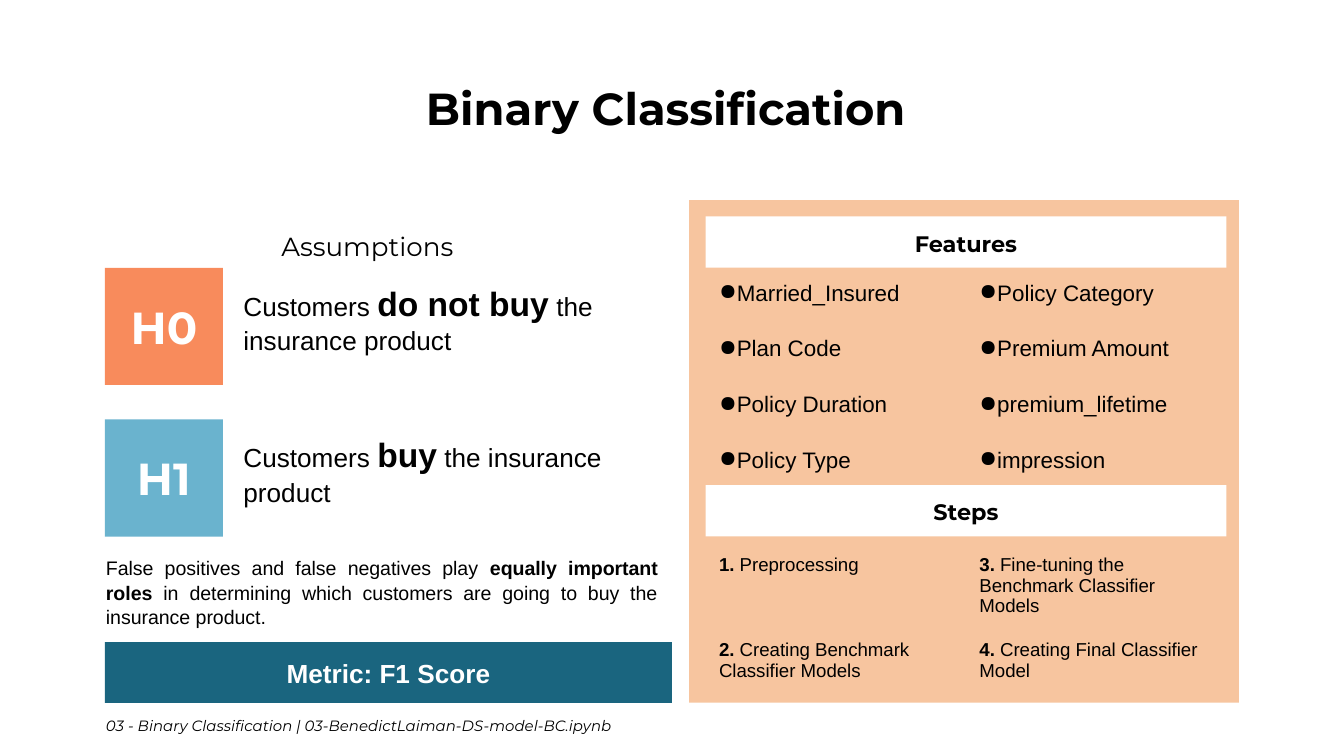
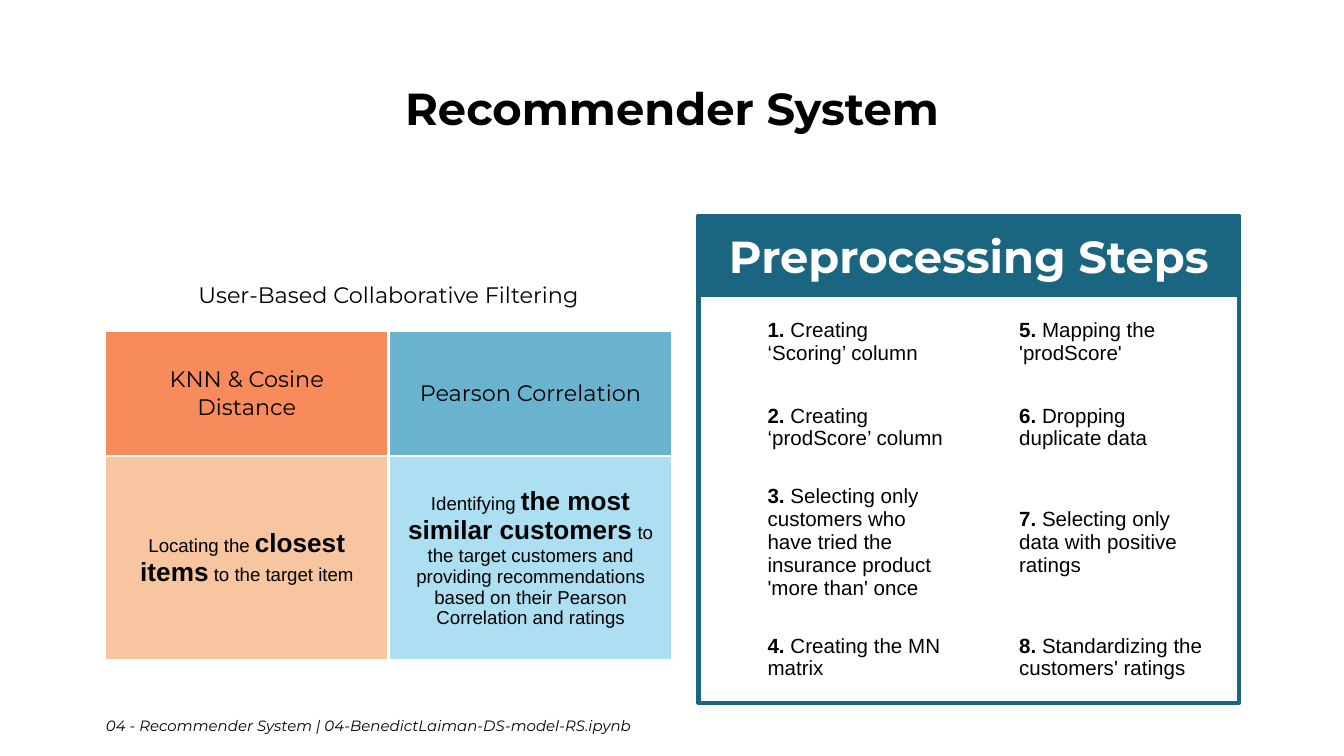
from lxml import etree
from pptx import Presentation
from pptx.dml.color import RGBColor
from pptx.enum.shapes import MSO_SHAPE
from pptx.enum.text import MSO_ANCHOR, MSO_AUTO_SIZE, PP_ALIGN
from pptx.oxml.ns import qn
from pptx.util import Pt

RECT = MSO_SHAPE.RECTANGLE
TOP, MID, LOW = MSO_ANCHOR.TOP, MSO_ANCHOR.MIDDLE, MSO_ANCHOR.BOTTOM
LEFT, MIDST, JUST = PP_ALIGN.LEFT, PP_ALIGN.CENTER, PP_ALIGN.JUSTIFY

# Asterisks enclose the bold parts of a text.
BINARY = {
    "title": "*Binary Classification *",
    "foot": "03 - Binary Classification | 03-BenedictLaiman-DS-model-BC.ipynb",
    "claims": [
        ("H0", "Customers *do not buy* the insurance product", "F88B5C"),
        ("H1", "Customers *buy* the insurance product", "6AB3CE"),
    ],
    "note": "False positives and false negatives play *equally important roles* "
            "in determining which customers are going to buy the insurance product.",
    "features": ["Married_Insured", "Plan Code", "Policy Duration", "Policy Type",
                 "Policy Category", "Premium Amount", "premium_lifetime", "impression"],
    "steps": ["Preprocessing", "Creating Benchmark Classifier Models",
              "Fine-tuning the Benchmark Classifier Models",
              "Creating Final Classifier Model"],
}
SYSTEM = {
    "title": "*Recommender System*",
    "foot": "04 - Recommender System | 04-BenedictLaiman-DS-model-RS.ipynb",
    "topic": "User-Based Collaborative Filtering",
    "methods": [
        ("KNN & Cosine Distance", "F88B5C",
         "Locating the *closest items* to the target item", "F7C59F"),
        ("Pearson Correlation", "6AB3CE",
         "Identifying *the most similar customers* to the target customers and providing "
         "recommendations based on their Pearson Correlation and ratings", "ABDFF1"),
    ],
    "steps": ["Creating ‘Scoring’ column", "Creating ‘prodScore’ column",
              "Selecting only customers who have tried the insurance product 'more than' once",
              "Creating the MN matrix", "Mapping the 'prodScore'", "Dropping duplicate data",
              "Selecting only data with positive ratings", "Standardizing the customers' ratings"],
}

BLACK, WHITE, TEAL, PEACH = "000000", "FFFFFF", "1A657F", "F7C59F"
HEAD, BODY = "Montserrat", "Arial"
PAD = 7.2
PADS = (PAD,) * 4
EDGE, WIDE = 56.2, 607.6
NO_STYLE = "{2D5ABB26-0587-4C30-8999-92F81FD0307C}"


def paint(color):
    return RGBColor.from_string(color)


def write(frame, text, size, font=BODY, color=BLACK, align=LEFT, big=None, italic=False, lead=1.0):
    """Fill a text frame; parts between asterisks are bold, in size big if given."""
    para = frame.paragraphs[0]
    para.alignment, para.line_spacing = align, lead
    for i, part in enumerate(text.split("*")):
        if part:
            run = para.add_run()
            run.text = part
            face = run.font
            face.name, face.bold, face.italic = font, i % 2 == 1, italic
            face.size = Pt(big if big and i % 2 else size)
            face.color.rgb = paint(color)
    return para


def inset(item, pads):
    sides = ("margin_left", "margin_top", "margin_right", "margin_bottom")
    for side, pad in zip(sides, pads):
        setattr(item, side, Pt(pad))


def setup(frame, anchor):
    frame.word_wrap, frame.auto_size = True, MSO_AUTO_SIZE.NONE
    frame.vertical_anchor = anchor
    inset(frame, PADS)
    return frame


def label(slide, box, text, size, anchor=TOP, **style):
    shape = slide.shapes.add_textbox(*map(Pt, box))
    write(setup(shape.text_frame, anchor), text, size, **style)


def block(slide, box, fill=None, line=None, text="", size=12, anchor=MID, color=BLACK):
    shape = slide.shapes.add_shape(RECT, *map(Pt, box))
    shape.shadow.inherit = False
    if fill:
        shape.fill.solid()
        shape.fill.fore_color.rgb = paint(fill)
    else:
        shape.fill.background()
    if line:
        shape.line.color.rgb, shape.line.width = paint(line), Pt(2.25)
    else:
        shape.line.fill.background()
    if text:
        write(setup(shape.text_frame, anchor), text, size, HEAD, color, MIDST)


def grid(slide, left, top, widths, heights):
    """Add a table with no style, no fill and no borders."""
    table = slide.shapes.add_table(len(heights), len(widths), Pt(left), Pt(top),
                                   Pt(sum(widths)), Pt(sum(heights))).table
    table.first_row = table.horz_banding = False
    table._tbl.tblPr.find(qn("a:tableStyleId")).text = NO_STYLE
    for col, width in zip(table.columns, widths):
        col.width = Pt(width)
    for row, height in zip(table.rows, heights):
        row.height = Pt(height)
    for cell in table.iter_cells():
        cell.fill.background()
    return table


def indent(para, margin, first, bullet=None):
    props = para._p.get_or_add_pPr()
    props.set("marL", str(Pt(margin)))
    props.set("indent", str(Pt(first)))
    if bullet:
        tint = etree.SubElement(props, qn("a:buClr"))
        etree.SubElement(tint, qn("a:srgbClr"), val=BLACK)
        etree.SubElement(props, qn("a:buChar"), char=bullet)


def border(cell):
    props = cell._tc.get_or_add_tcPr()
    for i, side in enumerate(("lnL", "lnR", "lnT", "lnB")):
        line = etree.Element(qn("a:" + side), w=str(Pt(1.5)))
        fill = etree.SubElement(line, qn("a:solidFill"))
        etree.SubElement(fill, qn("a:srgbClr"), val=WHITE)
        props.insert(i, line)


def listing(table, items, size, pads, anchor=TOP, margin=0, first=0, bullet=None):
    """Fill the table column by column."""
    rows = len(table.rows)
    for i, item in enumerate(items):
        cell = table.cell(i % rows, i // rows)
        inset(cell, pads)
        cell.vertical_anchor = anchor
        indent(write(cell.text_frame, item, size), margin, first, bullet)


def number(steps):
    return [f"*{i}.* {step}" for i, step in enumerate(steps, 1)]


def start(deck, data):
    slide = deck.slides.add_slide(deck.slide_layouts[5])
    title = slide.shapes.title
    title.left, title.top, title.width, title.height = map(Pt, (EDGE, 36, WIDE, 43.2))
    write(setup(title.text_frame, TOP), data["title"], 24, HEAD, align=MIDST)
    label(slide, (EDGE - 6.5, 376.6, 614, 16), data["foot"], 8, font=HEAD, italic=True)
    return slide


def binary(deck):
    data = BINARY
    slide = start(deck, data)
    block(slide, (EDGE, 344, 303.8, 32.5), TEAL)
    label(slide, (EDGE - 6.5, 290, 310, 51), data["note"], 10.5, align=JUST, lead=1.05)
    for i, (name, claim, fill) in enumerate(data["claims"]):
        top = 143.5 + 81.2 * i
        label(slide, (123.3, top + 22, 214.6, 32.4), claim, 14, LOW, big=18, lead=1.05)
        block(slide, (EDGE, top, 63.2, 62.8), fill, text=f"*{name}*", size=24, color=WHITE)
    label(slide, (91.4, 119.5, 211, 24.5), "Assumptions", 14, MID, font=HEAD, align=MIDST)
    label(slide, (100.8, 344, 214.6, 32.4), "*Metric: F1 Score*", 14, LOW,
          color=WHITE, align=MIDST)

    block(slide, (369.2, 107.2, 294.5, 269.2), PEACH)
    left, wide = 378, 279
    for top, text in ((115.9, "*Features*"), (259.9, "*Steps*")):
        block(slide, (left, top, wide, 27.5), WHITE, text=text, anchor=TOP)
    cols = [wide / 2] * 2
    listing(grid(slide, left, 143.3, cols, [29.8] * 4), data["features"], 12, PADS,
            margin=PAD, first=-9.4, bullet="●")
    listing(grid(slide, left, 297, cols, [45.8, 34.6]), number(data["steps"]), 10,
            (PAD, 0, PAD, PAD))


def system(deck):
    data = SYSTEM
    slide = start(deck, data)
    table = grid(slide, EDGE, 139.8, [152] * 2, [37.4, 67, 109.4])
    table.cell(0, 0).merge(table.cell(0, 1))
    write(table.cell(0, 0).text_frame, data["topic"], 12, HEAD, align=MIDST)
    for col, (name, dark, text, pale) in enumerate(data["methods"]):
        write(table.cell(1, col).text_frame, name, 12, HEAD, align=MIDST)
        write(table.cell(2, col).text_frame, text, 10, align=MIDST, big=14)
        for row, fill in ((1, dark), (2, pale)):
            cell = table.cell(row, col)
            cell.fill.solid()
            cell.fill.fore_color.rgb = paint(fill)
    for cell in table.iter_cells():
        cell.vertical_anchor = MID
        inset(cell, PADS)
        border(cell)

    left, top, wide = 374.2, 115.8, 289.6
    steps = grid(slide, left + 1, 162, [134.8] * 2, [42.5, 49, 74.2, 49])
    listing(steps, number(data["steps"]), 11, (0,) * 4, MID, margin=36)
    block(slide, (left, top, wide, 260.8), line=TEAL)
    block(slide, (left, top, wide, 42), TEAL, TEAL, "*Preprocessing Steps*", 24, color=WHITE)


def main():
    deck = Presentation()
    deck.slide_width, deck.slide_height = Pt(720), Pt(405)
    binary(deck)
    system(deck)
    deck.save("out.pptx")


if __name__ == "__main__":
    main()
